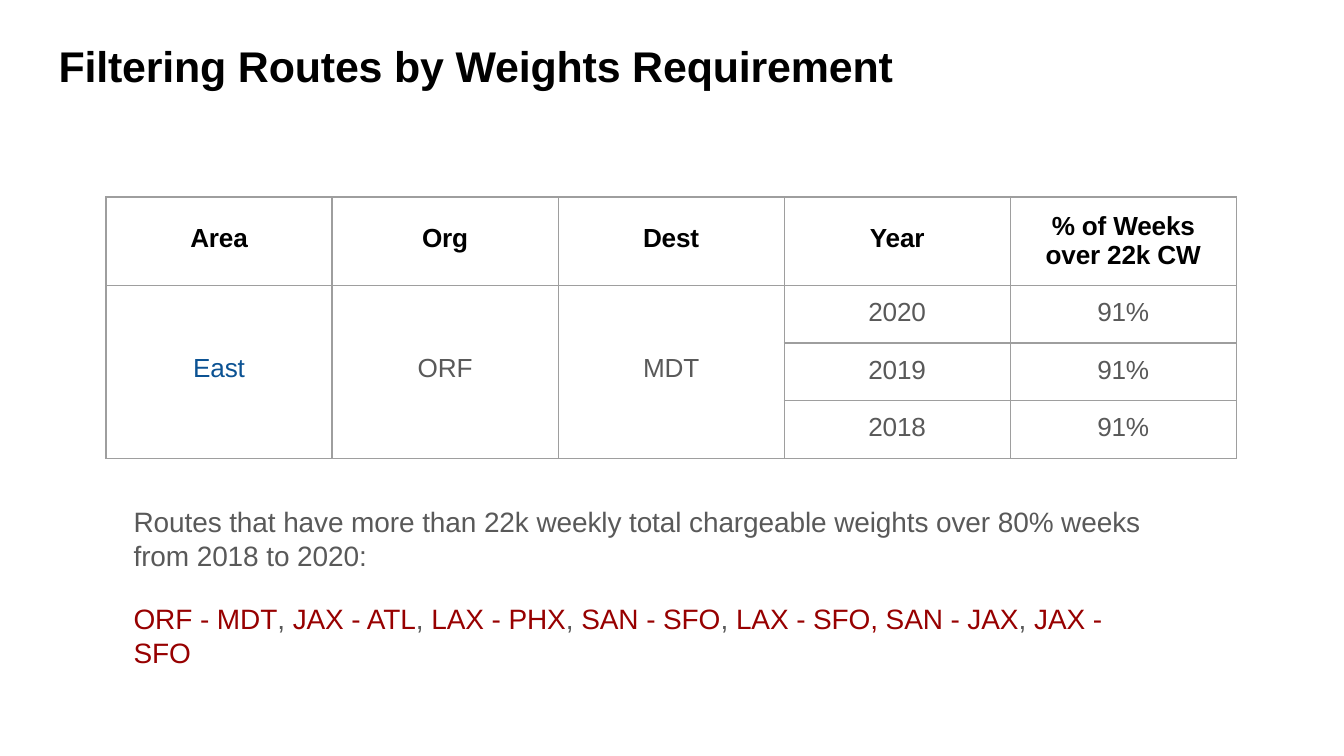
from dataclasses import dataclass

from lxml import etree
from pptx import Presentation
from pptx.dml.color import RGBColor
from pptx.enum.text import MSO_ANCHOR, MSO_AUTO_SIZE, PP_ALIGN
from pptx.oxml.ns import qn
from pptx.util import Pt

LEFT, CENTER = PP_ALIGN.LEFT, PP_ALIGN.CENTER
TOP, MIDDLE = MSO_ANCHOR.TOP, MSO_ANCHOR.MIDDLE
NO_FIT = MSO_AUTO_SIZE.NONE

FONT = "Arial"
BLACK, GRAY, BLUE, RED, RULE = "000000", "595959", "0B5293", "970000", "9E9E9E"

TABLE_LEFT, TABLE_TOP, COLUMN_WIDTH = 56.8, 105.6, 121.1
ROW_HEIGHTS = [47.2, 31, 31, 31]
HEADINGS = ["Area", "Org", "Dest", "Year", "% of Weeks over 22k CW"]
YEARS = [("2020", "91%"), ("2019", "91%"), ("2018", "91%")]
ROUTES = ["ORF - MDT", "JAX - ATL", "LAX - PHX", "SAN - SFO",
          "LAX - SFO, SAN - JAX", "JAX - SFO"]


@dataclass
class Span:
    text: str
    size: float
    color: str
    bold: bool = False
    tracking: int = -10  # hundredths of a point


@dataclass
class Entry:
    row: int
    column: int
    span: Span
    lift: float  # bottom margin that raises the centred text
    side: float = 0


def rgb(color: str) -> RGBColor:
    return RGBColor.from_string(color)


def set_all(target, formats: dict) -> None:
    for name, value in formats.items():
        setattr(target, name, value)


def add_span(para, span: Span) -> None:
    run = para.add_run()
    run.text = span.text
    set_all(run.font, {"name": FONT, "size": Pt(span.size), "bold": span.bold})
    run.font.color.rgb = rgb(span.color)
    run.font._element.set("spc", str(span.tracking))


def set_frame(frame, right: float = 0) -> None:
    set_all(frame, {
        "margin_left": Pt(1), "margin_right": Pt(right),
        "margin_top": Pt(1.8), "margin_bottom": Pt(0),
        "word_wrap": True, "auto_size": NO_FIT, "vertical_anchor": TOP,
    })


def set_borders(cell) -> None:
    properties = cell._tc.get_or_add_tcPr()
    for position, side in enumerate(("lnL", "lnR", "lnT", "lnB")):
        line = etree.Element(qn(f"a:{side}"), w=str(Pt(0.75)))
        fill = etree.SubElement(line, qn("a:solidFill"))
        etree.SubElement(fill, qn("a:srgbClr"), val=RULE)
        properties.insert(position, line)


def fill_cell(table, entry: Entry) -> None:
    cell = table.cell(entry.row, entry.column)
    set_all(cell, {
        "margin_left": Pt(entry.side), "margin_right": Pt(entry.side),
        "margin_top": Pt(0), "margin_bottom": Pt(entry.lift),
        "vertical_anchor": MIDDLE,
    })
    para = cell.text_frame.paragraphs[0]
    para.alignment = CENTER
    add_span(para, entry.span)


def add_title(slide) -> None:
    title = slide.shapes.title
    set_all(title, {"left": Pt(30.4), "top": Pt(19.4),
                    "width": Pt(452), "height": Pt(29.5)})
    set_frame(title.text_frame)
    para = title.text_frame.paragraphs[0]
    para.alignment = LEFT
    add_span(para, Span("Filtering Routes by Weights Requirement", 23, BLACK, True))


def add_weights_table(slide) -> None:
    columns = len(HEADINGS)
    table = slide.shapes.add_table(
        len(ROW_HEIGHTS), columns, Pt(TABLE_LEFT), Pt(TABLE_TOP),
        Pt(COLUMN_WIDTH * columns), Pt(sum(ROW_HEIGHTS))).table
    set_all(table, {"first_row": False, "horz_banding": False})
    for column in table.columns:
        column.width = Pt(COLUMN_WIDTH)
    for row, height in zip(table.rows, ROW_HEIGHTS):
        row.height = Pt(height)
    for cell in table.iter_cells():
        cell.fill.background()
        set_borders(cell)

    # Headings; the last one wraps within wider side margins
    for column, heading in enumerate(HEADINGS):
        last = column == columns - 1
        fill_cell(table, Entry(0, column, Span(heading, 14, BLACK, True),
                               0 if last else 3.2, 14 if last else 0))

    # Route cells span all years
    for column, (text, color) in enumerate(
            [("East", BLUE), ("ORF", GRAY), ("MDT", GRAY)]):
        table.cell(1, column).merge(table.cell(len(YEARS), column))
        fill_cell(table, Entry(1, column, Span(text, 14, color), 4))

    # Yearly shares
    for row, values in enumerate(YEARS, start=1):
        for column, text in enumerate(values, start=3):
            fill_cell(table, Entry(row, column, Span(text, 14, GRAY), 2))


def add_summary(slide) -> None:
    box = slide.shapes.add_textbox(Pt(70.6), Pt(268.6), Pt(559.4), Pt(92))
    frame = box.text_frame
    set_frame(frame, right=8)
    add_span(frame.paragraphs[0], Span(
        "Routes that have more than 22k weekly total chargeable weights "
        "over 80% weeks from 2018 to 2020:", 15, GRAY, tracking=-5))

    para = frame.add_paragraph()
    para.space_before = Pt(16)
    for index, route in enumerate(ROUTES):
        if index:
            add_span(para, Span(", ", 15, GRAY, tracking=-5))
        add_span(para, Span(route, 15, RED, tracking=-5))


def main() -> None:
    deck = Presentation()
    set_all(deck, {"slide_width": Pt(720), "slide_height": Pt(405)})
    page = deck.slides.add_slide(deck.slide_layouts.get_by_name("Title Only"))
    add_title(page)
    add_weights_table(page)
    add_summary(page)
    deck.save("out.pptx")


if __name__ == "__main__":
    main()
